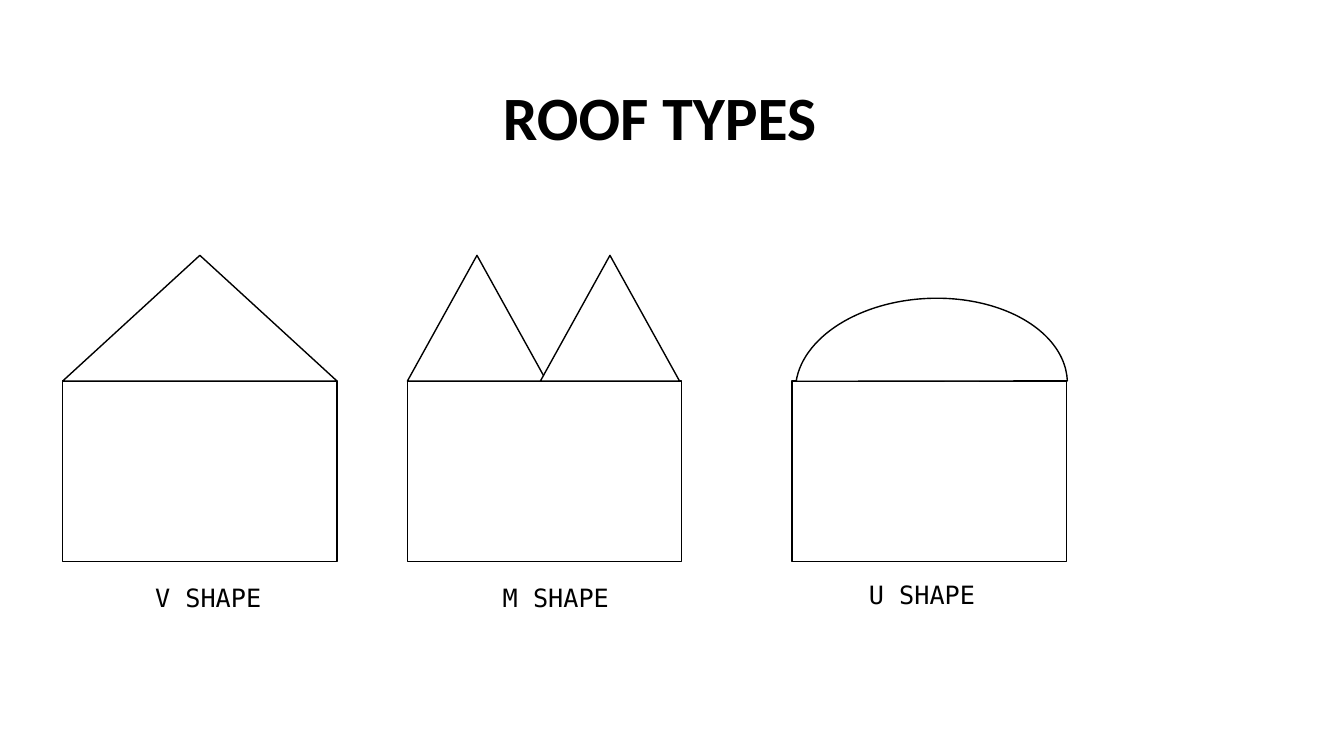
from pptx import Presentation
from pptx.dml.color import RGBColor
from pptx.enum.shapes import MSO_SHAPE
from pptx.enum.text import MSO_ANCHOR, PP_ALIGN
from pptx.util import Pt

RECTANGLE = MSO_SHAPE.RECTANGLE
TRIANGLE = MSO_SHAPE.ISOSCELES_TRIANGLE
CHORD = MSO_SHAPE.CHORD
TOP = MSO_ANCHOR.TOP
LEFT = PP_ALIGN.LEFT

COLORS = {"ink": "000000", "paper": "FFFFFF"}
TITLE = "ROOF TYPES"
TITLE_BOX = (352, 52.6, 240.5, 60.5)
TITLE_FONT = {"name": "Calibri", "size": Pt(44), "bold": True}
LABEL_FONT = {"name": "DejaVu Sans Mono", "size": Pt(18), "bold": False}

WALL_TOP, WALL_WIDTH, WALL_HEIGHT = 272.2, 196, 129
GABLE_HEIGHT = 89.8
LABEL_WIDTH, LABEL_HEIGHT = 100, 29
DOME = {"width": 126.7, "height": 194.4, "center": 99.6, "middle": 276.5,
        "rotation": 87.4, "angles": (57.012, 162)}

# Gables are (offset from the wall's left edge, width)
HOUSES = [
    {"label": "V SHAPE", "left": 44.8, "label_at": (103.7, 412.6),
     "gables": [(0, WALL_WIDTH)], "domed": False},
    {"label": "M SHAPE", "left": 291, "label_at": (352, 412.6),
     "gables": [(0, 99.4), (95, 99.4)], "domed": False},
    {"label": "U SHAPE", "left": 565.7, "label_at": (613.6, 410.6),
     "gables": [], "domed": True},
]


def color(name):
    return RGBColor.from_string(COLORS[name])


def add_outline(slide, kind, *box):
    part = slide.shapes.add_shape(kind, *map(Pt, box))
    part.shadow.inherit = False
    part.fill.solid()
    part.fill.fore_color.rgb = color("paper")
    part.line.color.rgb = color("ink")
    part.line.width = Pt(1)
    return part


def write(frame, text, font, wrap):
    frame.text = text
    frame.word_wrap = wrap
    frame.vertical_anchor = TOP
    line = frame.paragraphs[0]
    line.alignment = LEFT
    line.line_spacing = 1.0
    run_font = line.runs[0].font
    for key, value in font.items():
        setattr(run_font, key, value)
    run_font.color.rgb = color("ink")


def add_title(slide):
    title = slide.shapes.title
    title.left, title.top, title.width, title.height = map(Pt, TITLE_BOX)
    write(title.text_frame, TITLE, TITLE_FONT, wrap=False)


def add_house(slide, house):
    left = house["left"]
    add_outline(slide, RECTANGLE, left, WALL_TOP, WALL_WIDTH, WALL_HEIGHT)
    for offset, width in house["gables"]:
        add_outline(slide, TRIANGLE, left + offset, WALL_TOP - GABLE_HEIGHT,
                    width, GABLE_HEIGHT)
    if house["domed"]:
        dome = add_outline(slide, CHORD,
                           left + DOME["center"] - DOME["width"] / 2,
                           DOME["middle"] - DOME["height"] / 2,
                           DOME["width"], DOME["height"])
        dome.rotation = DOME["rotation"]
        for index, angle in enumerate(DOME["angles"]):
            dome.adjustments[index] = angle
    label_box = (*house["label_at"], LABEL_WIDTH, LABEL_HEIGHT)
    label = slide.shapes.add_textbox(*map(Pt, label_box))
    write(label.text_frame, house["label"], LABEL_FONT, wrap=True)


def main():
    deck = Presentation()
    deck.slide_width, deck.slide_height = Pt(960), Pt(540)
    slide = deck.slides.add_slide(deck.slide_layouts[5])
    add_title(slide)
    for house in HOUSES:
        add_house(slide, house)
    deck.save("out.pptx")


if __name__ == "__main__":
    main()
